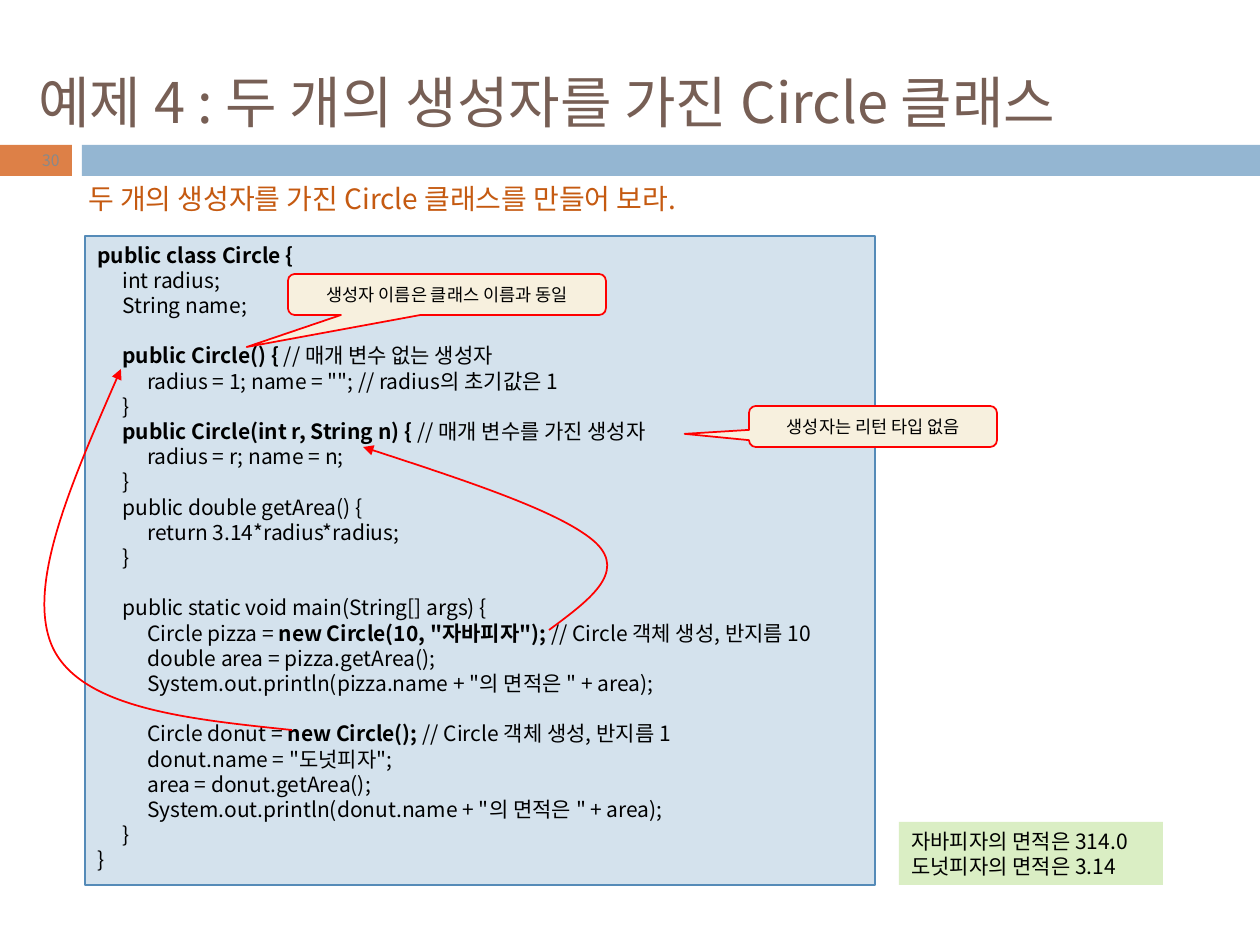
"""Slide: a Circle class with two constructors, annotated code and its output."""
from lxml.etree import SubElement
from pptx import Presentation
from pptx.dml.color import RGBColor
from pptx.enum.shapes import MSO_SHAPE
from pptx.enum.text import MSO_ANCHOR, PP_ALIGN
from pptx.oxml.ns import qn
from pptx.util import Emu, Pt

PX = 914400 / 126
FONT = "Noto Sans CJK KR"
BLACK = RGBColor(0x00, 0x00, 0x00)
RED = RGBColor(0xFF, 0x00, 0x00)
ORANGE = RGBColor(0xDD, 0x80, 0x47)
BLUE = RGBColor(0x94, 0xB6, 0xD2)
BROWN = RGBColor(0x77, 0x5F, 0x55)
RUST = RGBColor(0xC5, 0x5A, 0x11)
GRAY = RGBColor(0x89, 0x89, 0x89)
CODE_FILL = RGBColor(0xD4, 0xE2, 0xED)
CODE_LINE = RGBColor(0x55, 0x8B, 0xB8)
OUTPUT_FILL = RGBColor(0xDA, 0xEE, 0xC4)
CALLOUT_FILL = RGBColor(0xF7, 0xF0, 0xDE)

CODE = '''**public class Circle {**
\tint radius;
\tString name;

\t**public Circle() {** // 매개 변수 없는 생성자
\t\tradius = 1; name = ""; // radius의 초기값은 1
\t}
\t**public Circle(int r, String n) { **// 매개 변수를 가진 생성자
\t\tradius = r; name = n;
\t}
\tpublic double getArea() {
\t\treturn 3.14*radius*radius;
\t}

\tpublic static void main(String[] args) {
\t\tCircle pizza = **new Circle(10, "자바피자"); **// Circle 객체 생성, 반지름 10
\t\tdouble area = pizza.getArea();
\t\tSystem.out.println(pizza.name + "의 면적은 " + area);

\t\tCircle donut = **new Circle(); **// Circle 객체 생성, 반지름 1
\t\tdonut.name = "도넛피자";
\t\tarea = donut.getArea();
\t\tSystem.out.println(donut.name + "의 면적은 " + area);
\t}
}'''


def add_box(kind, box, fill=None, line=None, width=1):
    s = shapes.add_shape(kind, *(Emu(round(v * PX)) for v in box))
    s.shadow.inherit = False
    if fill is None:
        s.fill.background()
    else:
        s.fill.solid()
        s.fill.fore_color.rgb = fill
    if line is None:
        s.line.fill.background()
    else:
        s.line.color.rgb = line
        s.line.width = Pt(width)
    return s


def write(s, text, size, color, align=PP_ALIGN.LEFT, anchor=MSO_ANCHOR.TOP):
    tf = s.text_frame
    tf.word_wrap = True
    tf.vertical_anchor = anchor
    for i, line in enumerate(text.split("\n")):
        p = tf.add_paragraph() if i else tf.paragraphs[0]
        p.alignment = align
        p.line_spacing = Pt(size * 1.2)
        if "\t" in line:
            tabs = SubElement(p._p.get_or_add_pPr(), qn("a:tabLst"))
            for stop in (1, 2):
                SubElement(tabs, qn("a:tab"), pos=str(round(stop * 25 * PX)), algn="l")
        for j, part in enumerate(line.split("**")):
            if part:
                r = p.add_run()
                r.text = part
                r.font.size = Pt(size)
                r.font.bold = j % 2 == 1
                r.font.color.rgb = color
                r.font.name = FONT
                SubElement(r._r.get_or_add_rPr(), qn("a:ea"), typeface=FONT)
        if not line:
            p._p.get_or_add_endParaRPr().set("sz", str(size * 100))


prs = Presentation()
prs.slide_width = Emu(round(1260 * PX))
prs.slide_height = Emu(round(945 * PX))
shapes = prs.slides.add_slide(prs.slide_layouts[6]).shapes

add_box(MSO_SHAPE.RECTANGLE, (0, 145, 72, 31), ORANGE)
add_box(MSO_SHAPE.RECTANGLE, (82, 145, 1178, 31), BLUE)

for box, text, size, color, align, anchor in (
    ((26, 10, 1207, 183), "예제 4 : 두 개의 생성자를 가진 Circle 클래스", 32, BROWN, PP_ALIGN.LEFT, MSO_ANCHOR.MIDDLE),
    ((0, 145, 72, 31), "30", 9, GRAY, PP_ALIGN.RIGHT, MSO_ANCHOR.MIDDLE),
    ((76, 175, 752, 47), "두 개의 생성자를 가진 Circle 클래스를 만들어 보라.", 16, RUST, PP_ALIGN.LEFT, MSO_ANCHOR.TOP),
):
    s = shapes.add_textbox(*(Emu(round(v * PX)) for v in box))
    write(s, text, size, color, align, anchor)

s = add_box(MSO_SHAPE.RECTANGLE, (85, 236, 790, 649), CODE_FILL, CODE_LINE, 0.75)
write(s, CODE, 12, BLACK)
s = add_box(MSO_SHAPE.RECTANGLE, (899, 822, 264, 63), OUTPUT_FILL)
write(s, "자바피자의 면적은 314.0\n도넛피자의 면적은 3.14", 12, BLACK)

for curve in (
    [(549, 630), (588, 601), (627, 573), (596, 543), (564, 513), (464, 480), (363, 447)],
    [(292, 730), (186, 719), (82, 708), (53, 648), (25, 588), (73, 479), (121, 369)],
):
    points = [(round(x * PX), round(y * PX)) for x, y in curve]
    builder = shapes.build_freeform(*points[0])
    builder.add_line_segments(points[3::3], close=False)
    s = builder.convert_to_shape()
    s.shadow.inherit = False
    s.fill.background()
    s.line.color.rgb = RED
    s.line.width = Pt(1)
    SubElement(s.line._get_or_add_ln(), qn("a:tailEnd"), type="triangle")
    for i, segment in enumerate(list(s._element.iter(qn("a:lnTo")))):
        segment.tag = qn("a:cubicBezTo")
        segment.remove(segment[0])
        for x, y in points[3 * i + 1:3 * i + 4]:
            SubElement(segment, qn("a:pt"), x=str(x - s.left), y=str(y - s.top))

for box, tip, text in (
    ((288, 274, 318, 41), (-0.63, 1.28), "생성자 이름은 클래스 이름과 동일"),
    ((749, 406, 248, 41), (-0.76, 0.18), "생성자는 리턴 타입 없음"),
):
    s = add_box(MSO_SHAPE.ROUNDED_RECTANGULAR_CALLOUT, box, CALLOUT_FILL, RED)
    s.adjustments[0], s.adjustments[1] = tip
    write(s, text, 10, BLACK, PP_ALIGN.CENTER, MSO_ANCHOR.MIDDLE)

prs.save("out.pptx")
